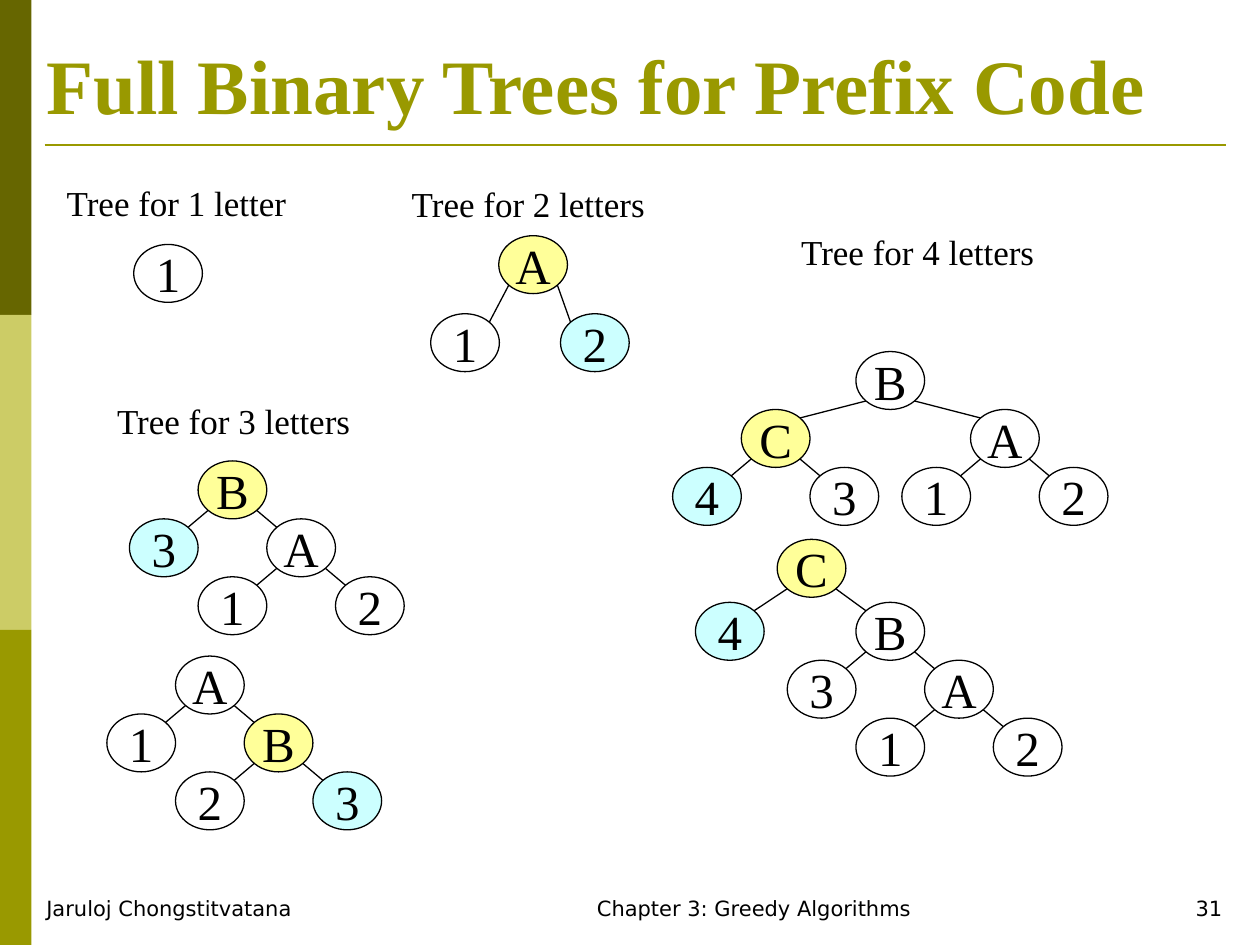
from dataclasses import dataclass
from math import sqrt

from lxml.etree import SubElement
from pptx import Presentation
from pptx.dml.color import RGBColor
from pptx.enum.shapes import MSO_CONNECTOR, MSO_SHAPE
from pptx.enum.text import MSO_ANCHOR, PP_ALIGN
from pptx.oxml.ns import qn
from pptx.util import Pt


@dataclass(frozen=True)
class Theme:
    serif: str = "Times New Roman"
    sans: str = "DejaVu Sans"
    ink: str = "000000"
    accent: str = "999900"
    bands: tuple = ("666600", "CCCC66", "999900")
    white: str = "FFFFFF"
    yellow: str = "FFFF99"
    cyan: str = "CCFFFF"
    title_size: int = 44
    node_size: int = 28
    label_size: int = 20
    footer_size: int = 12


THEME = Theme()
WHITE, YELLOW, CYAN, CLEAR = THEME.white, THEME.yellow, THEME.cyan, None
NODE_WIDTH, NODE_HEIGHT = 39.25, 33.1


@dataclass
class Node:
    letter: str
    fill: str = WHITE
    children: tuple = ()
    spread: tuple = (NODE_WIDTH, NODE_WIDTH)  # left and right step to the children
    drop: float = NODE_HEIGHT


# Content
TITLE = "Full Binary Trees for Prefix Code"

FOOTERS = [  # text, left, width, alignment
    ("Jaruloj Chongstitvatana", 19.4, 226.8, PP_ALIGN.LEFT),
    ("Chapter 3: Greedy Algorithms", 246.2, 369.4, PP_ALIGN.CENTER),
    ("31", 626.4, 79.2, PP_ALIGN.RIGHT),
]

LABELS = [  # text, left, top
    ("Tree for 1 letter", 31, 100.1),
    ("Tree for 2 letters", 228.2, 100.8),
    ("Tree for 3 letters", 59.8, 224.6),
    ("Tree for 4 letters", 450.7, 128.2),
]

PAIR = Node("A", WHITE, (Node("1"), Node("2")))

TREES = [  # root left, root top, root
    (76.4, 139.7, Node("1")),
    (285, 134.7, Node("A", YELLOW, (Node("1"), Node("2", CYAN)), (38.9, 35.3), 44.6)),
    (113.2, 263.4, Node("B", YELLOW, (Node("3", CYAN), PAIR))),
    (100.3, 374.9, Node("A", WHITE, (
        Node("1"),
        Node("B", YELLOW, (Node("2"), Node("3", CYAN))),
    ))),
    (489.1, 200.9, Node("B", WHITE, (
        Node("C", YELLOW, (Node("4", CYAN), Node("3"))),
        PAIR,
    ), (65.5, 65.5))),
    (444.1, 308.2, Node("C", YELLOW, (
        Node("4", CYAN),
        Node("B", CLEAR, (Node("3", CLEAR), PAIR)),
    ), (46.7, 45), 36)),
]


def add_span(frame, text, size, font, color=THEME.ink, align=PP_ALIGN.LEFT, bold=False):
    para = frame.paragraphs[0]
    para.alignment = align
    span = para.add_run()
    span.text = text
    span.font.name = font
    span.font.size = Pt(size)
    span.font.bold = bold
    span.font.color.rgb = RGBColor.from_string(color)


def add_text(page, left, top, width, height, text, size, font,
             anchor=MSO_ANCHOR.TOP, **style):
    box = page.shapes.add_textbox(Pt(left), Pt(top), Pt(width), Pt(height))
    box.text_frame.word_wrap = True
    box.text_frame.vertical_anchor = anchor
    add_span(box.text_frame, text, size, font, **style)


def add_line(page, start, end, color=THEME.ink, weight=0.75):
    line = page.shapes.add_connector(
        MSO_CONNECTOR.STRAIGHT, *(Pt(value) for value in (*start, *end)))
    line.line.color.rgb = RGBColor.from_string(color)
    line.line.width = Pt(weight)
    SubElement(line._element.spPr, qn("a:effectLst"))


def add_filled(page, kind, left, top, width, height, fill):
    shape = page.shapes.add_shape(kind, Pt(left), Pt(top), Pt(width), Pt(height))
    shape.shadow.inherit = False
    if fill is CLEAR:
        shape.fill.background()
    else:
        shape.fill.solid()
        shape.fill.fore_color.rgb = RGBColor.from_string(fill)
    shape.line.fill.background()
    return shape


def rim_point(left, top, side, end):
    """Diagonal point of a node's rim: side -1 or 1 across, end -1 or 1 down."""
    return (left + NODE_WIDTH / 2 * (1 + side / sqrt(2)),
            top + NODE_HEIGHT / 2 * (1 + end / sqrt(2)))


def add_tree(page, left, top, node):
    oval = add_filled(page, MSO_SHAPE.OVAL, left, top, NODE_WIDTH, NODE_HEIGHT, node.fill)
    oval.line.color.rgb = RGBColor.from_string(THEME.ink)
    oval.line.width = Pt(0.75)
    frame = oval.text_frame
    frame.margin_left = frame.margin_right = frame.margin_top = frame.margin_bottom = 0
    frame.vertical_anchor = MSO_ANCHOR.MIDDLE
    add_span(frame, node.letter, THEME.node_size, THEME.serif, align=PP_ALIGN.CENTER)
    for child, side, step in zip(node.children, (-1, 1), node.spread):
        child_left, child_top = left + side * step, top + node.drop
        add_line(page, rim_point(left, top, side, 1),
                 rim_point(child_left, child_top, -side, -1))
        add_tree(page, child_left, child_top, child)


def main():
    deck = Presentation()
    deck.slide_width, deck.slide_height = Pt(720), Pt(540)
    page = deck.slides.add_slide(deck.slide_layouts[6])

    # Side bands and title rule
    for row, color in enumerate(THEME.bands):
        add_filled(page, MSO_SHAPE.RECTANGLE, 0, row * 180, 18, 180, color)
    add_line(page, (25.5, 82.8), (700.5, 82.8), THEME.accent, 1.5)

    # Title and footers
    add_text(page, 19.4, 15.1, 686.2, 62.6, TITLE, THEME.title_size, THEME.serif,
             anchor=MSO_ANCHOR.BOTTOM, color=THEME.accent, bold=True)
    for text, left, width, align in FOOTERS:
        add_text(page, left, 508.3, width, 20.2, text, THEME.footer_size, THEME.sans,
                 align=align)

    # Trees and their labels
    for text, left, top in LABELS:
        add_text(page, left, top, 157, 33.1, text, THEME.label_size, THEME.serif)
    for left, top, root in TREES:
        add_tree(page, left, top, root)

    deck.save("out.pptx")


if __name__ == "__main__":
    main()
